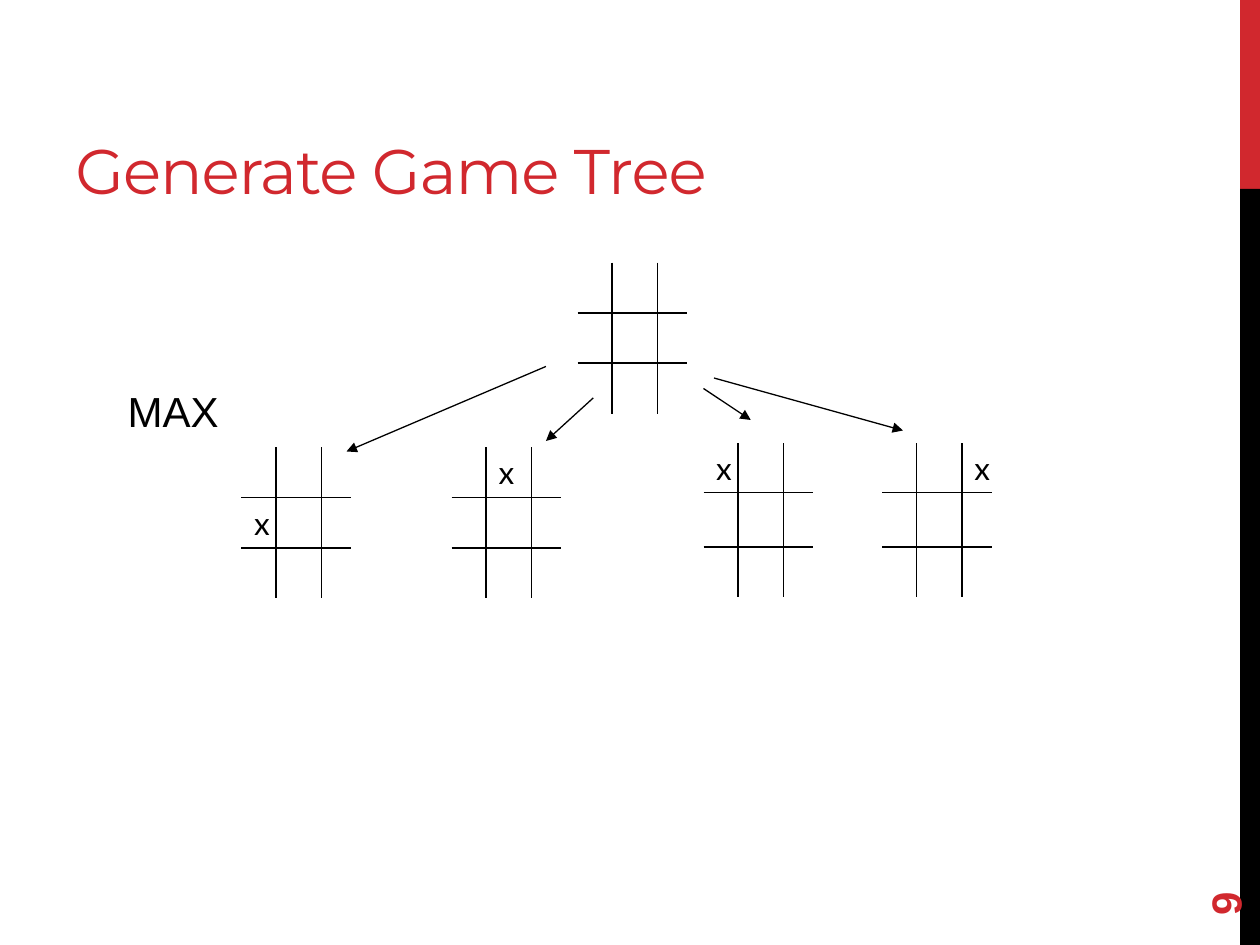
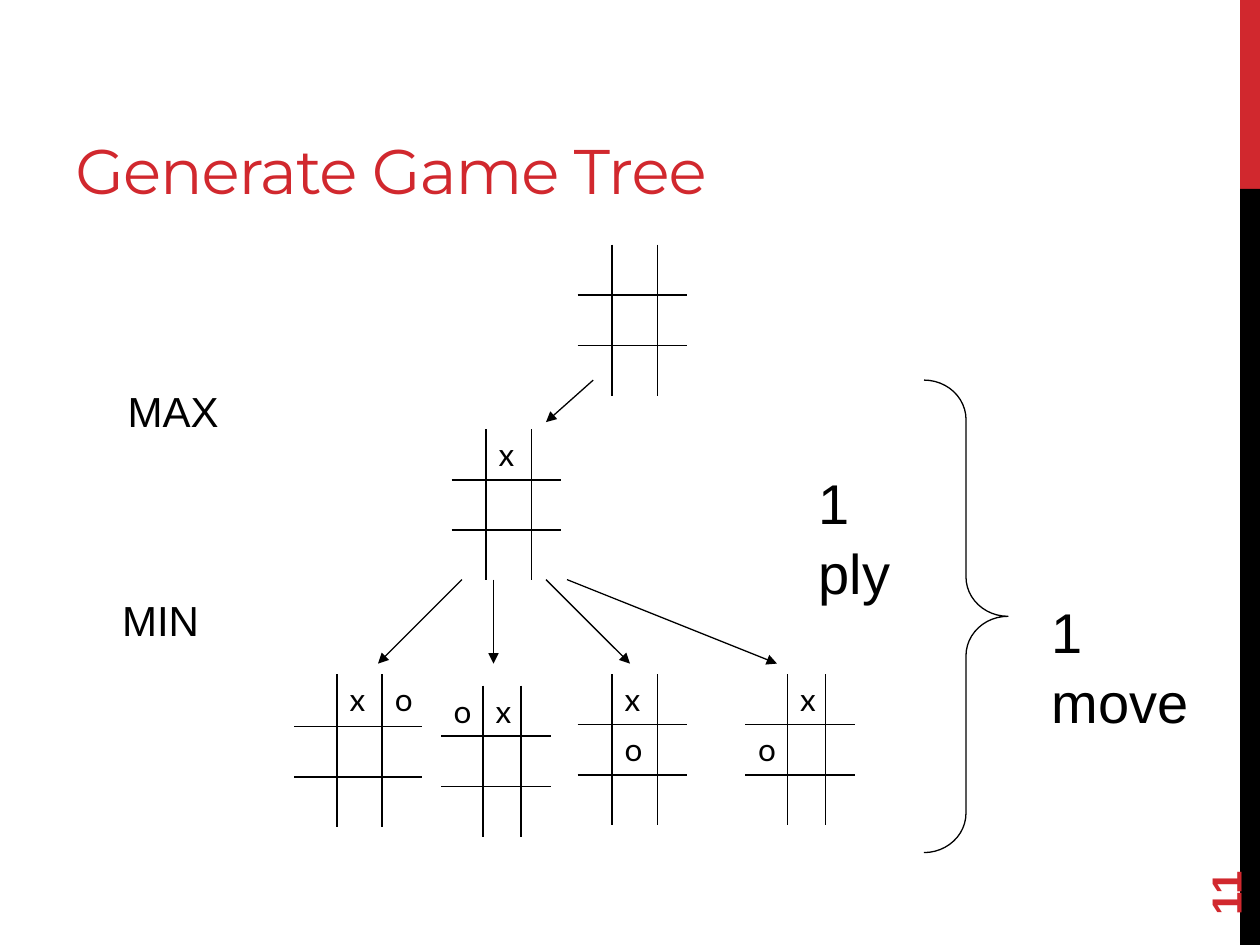
from lxml.etree import SubElement
from pptx import Presentation
from pptx.dml.color import RGBColor
from pptx.enum.shapes import MSO_CONNECTOR, MSO_SHAPE
from pptx.enum.text import MSO_ANCHOR, PP_ALIGN
from pptx.oxml.ns import qn
from pptx.util import Inches, Pt

RED, BLACK = "D1282E", "000000"
COLS, ROWS = 120, 90  # grid of the slide, 12 units to the inch
EVEN = (3.3, 4.3, 2.8)
SLIM = (4, 3.6, 2.8)
WIDE = (4.1, 4.3, 3.8)
FLAT = (4.8, 4.8, 4.8)
PLAIN_STYLE = "{2D5ABB26-0587-4C30-8999-92F81FD0307C}"


def unit(n):
    return Inches(n / 12)


def color(code):
    return RGBColor.from_string(code)


def style(para, font, size, code=BLACK, bold=False):
    para.font.name, para.font.size = font, Pt(size)
    para.font.bold = bold
    para.font.color.rgb = color(code)


def text(slide, words, box, font, size, code=BLACK, bold=False,
         align=PP_ALIGN.LEFT, anchor=MSO_ANCHOR.TOP, pitch=1):
    shape = slide.shapes.add_textbox(*map(unit, box))
    frame = shape.text_frame
    frame.word_wrap, frame.vertical_anchor = True, anchor
    para = frame.paragraphs[0]
    para.text, para.alignment, para.line_spacing = words, align, pitch
    style(para, font, size, code, bold)
    return shape


def label(slide, words, x, y, width, size=24, align=PP_ALIGN.CENTER):
    text(slide, words, (x, y, width, 6), "Arial", size, align=align, pitch=1.04)


def band(slide, top, height, code):
    shape = slide.shapes.add_shape(
        MSO_SHAPE.RECTANGLE, *map(unit, (118.1, top, COLS - 118.1, height)))
    shape.shadow.inherit = False
    shape.fill.solid()
    shape.fill.fore_color.rgb = color(code)
    shape.line.fill.background()


def page(deck, title, number):
    """Add a slide with the side bands, the number and the title."""
    slide = deck.slides.add_slide(deck.slide_layouts[6])
    band(slide, 0, 18, RED)
    band(slide, 18, ROWS - 18, BLACK)
    mark = text(slide, str(number), (108, 77.3, 17.3, 4.8), "Arial", 24, RED,
                bold=True, anchor=MSO_ANCHOR.MIDDLE)
    mark.rotation = 270
    head = text(slide, title, (6, 2, 76, 18.3), "Montserrat", 36, RED,
                anchor=MSO_ANCHOR.BOTTOM)
    run = head.text_frame.paragraphs[0].runs[0]
    run._r.get_or_add_rPr().set("spc", "-60")
    return slide


def edge(cell, side, shown):
    line = SubElement(cell._tc.get_or_add_tcPr(), qn(f"a:ln{side}"), w="12700")
    if shown:
        fill = SubElement(line, qn("a:solidFill"))
        SubElement(fill, qn("a:srgbClr"), val=BLACK)
    else:
        SubElement(line, qn("a:noFill"))


def board(slide, x, y, marks="", cols=EVEN, rows=FLAT):
    """Draw a game board; marks lists its cells row by row, with a dot for empty."""
    frame = slide.shapes.add_table(
        3, 3, unit(x), unit(y), unit(sum(cols)), unit(sum(rows)))
    table = frame.table
    table.first_row = table.horz_banding = False
    table._tbl.tblPr.find(qn("a:tableStyleId")).text = PLAIN_STYLE
    for i in range(3):
        table.columns[i].width = unit(cols[i])
        table.rows[i].height = unit(rows[i])
    for i, mark in enumerate(marks.ljust(9, ".")):
        row, col = divmod(i, 3)
        cell = table.cell(row, col)
        cell.margin_bottom = 0
        for side, shown in zip("LRTB", (col > 0, col < 2, row > 0, row < 2)):
            edge(cell, side, shown)
        cell.fill.background()
        para = cell.text_frame.paragraphs[0]
        if mark != ".":
            para.text = mark
        style(para, "Lato", 18)


def arrow(slide, *ends):
    line = slide.shapes.add_connector(MSO_CONNECTOR.STRAIGHT, *map(unit, ends))
    line.line.color.rgb = color(BLACK)
    line.line.width = Pt(0.75)
    SubElement(line.line._get_or_add_ln(), qn("a:tailEnd"), type="triangle")
    SubElement(line._element.spPr, qn("a:effectLst"))


def brace(slide, *box):
    shape = slide.shapes.add_shape(MSO_SHAPE.RIGHT_BRACE, *map(unit, box))
    shape.shadow.inherit = False
    shape.adjustments[0] = 0.47
    shape.adjustments[1] = 0.5
    shape.fill.background()
    shape.line.color.rgb = color(BLACK)
    shape.line.width = Pt(0.75)


def first(deck):
    slide = page(deck, "Generate Game Tree", 9)
    tall = (4.7, 5.2, 4.8)
    board(slide, 55, 25)
    board(slide, 23, 42.6, "...x")
    board(slide, 43, 42.6, ".x")
    board(slide, 67, 42.2, "x", rows=tall)
    board(slide, 84, 42.2, "..x", rows=tall)
    for ends in ((52, 34.9, 33, 43), (56.5, 37.9, 52, 42),
                 (67, 37, 71.5, 40), (68, 36, 86, 41)):
        arrow(slide, *ends)
    label(slide, "MAX", 6.2, 35.9, 20.6)


def second(deck):
    slide = page(deck, "Generate Game Tree", 11)
    board(slide, 55, 23.3)
    board(slide, 43, 40.9, ".x")
    board(slide, 28, 64.2, ".xo", WIDE, (5, 4.8, 4.8))
    board(slide, 42, 65.3, "ox", SLIM)
    board(slide, 55, 64.2, ".x..o")
    board(slide, 71, 64.2, ".x.o", SLIM)
    arrow(slide, 56.5, 36.2, 52, 40.2)
    for start, end in ((44, 36), (47, 47), (52, 60), (54, 74)):
        arrow(slide, start, 55.2, end, 63.2)
    brace(slide, 88, 36.2, 8, 45)
    label(slide, "MAX", 6.2, 35.9, 20.6)
    label(slide, "MIN", 5, 55.8, 20.6)
    label(slide, "1 ply", 76.8, 43.8, 11, 32, PP_ALIGN.LEFT)
    label(slide, "1 move", 99, 56.1, 16.5, 32, PP_ALIGN.LEFT)


def main():
    deck = Presentation()
    deck.slide_width, deck.slide_height = unit(COLS), unit(ROWS)
    first(deck)
    second(deck)
    deck.save("out.pptx")


if __name__ == "__main__":
    main()
